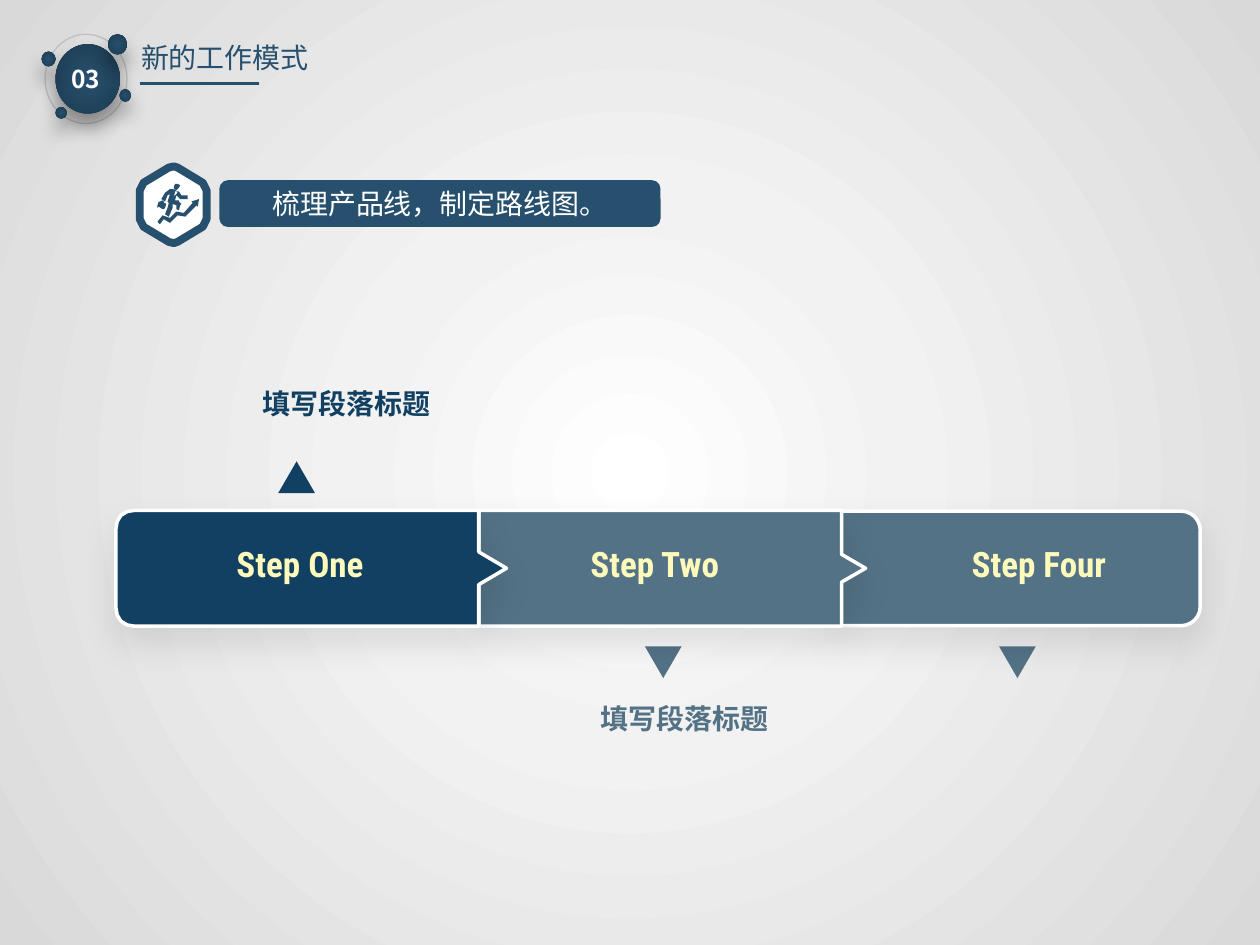
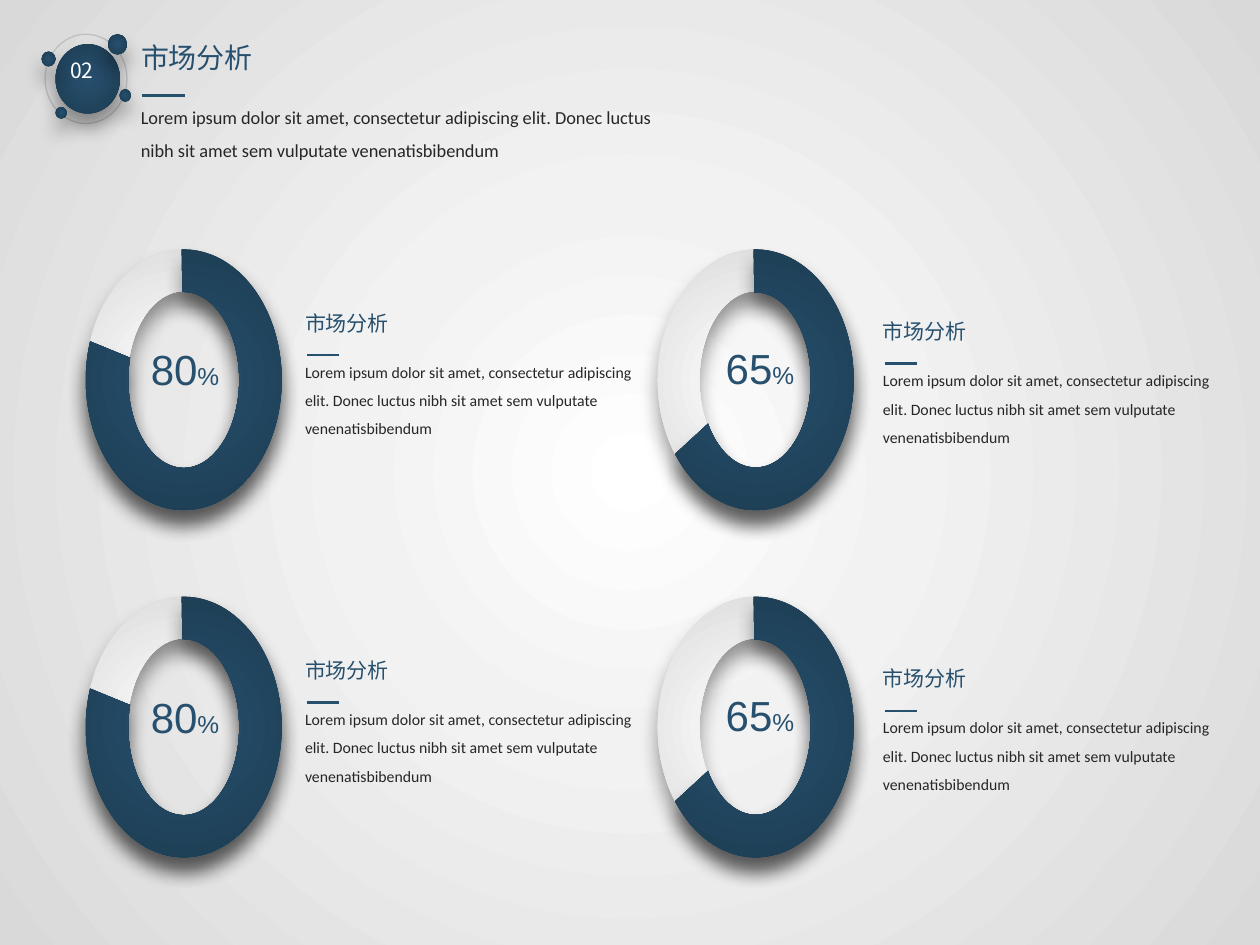
"""Build two slides: a three-step roadmap and a market analysis with four rings."""
from dataclasses import dataclass
from typing import Any, NamedTuple, Optional, Union

from lxml.etree import SubElement
from pptx import Presentation
from pptx.dml.color import RGBColor
from pptx.enum.shapes import MSO_CONNECTOR, MSO_SHAPE as Preset
from pptx.enum.text import MSO_ANCHOR as Anchor, MSO_AUTO_SIZE as AutoSize, PP_ALIGN as Align
from pptx.oxml import parse_xml
from pptx.oxml.ns import nsdecls, qn
from pptx.util import Cm, Pt

COLOURS = {
    "blue": "27506E", "deep": "1D3C52", "navy": "124062", "slate": "537285",
    "white": "FFFFFF", "pale": "F2F2F2", "grey": "D9D9D9", "ring": "BFBFBF",
    "ink": "262626", "cream": "FEFABC", "black": "000000",
}
GRADIENTS = {
    "silver": ((0, "white"), (35, "pale"), (100, "grey")),
    "globe": ((0, "blue"), (100, "deep")),
}
CJK_FONT = "Noto Sans CJK SC"
LATIN_FONT = "Roboto Condensed"
HUNDREDTH = Cm(2.54) / 100
LOREM = ("Lorem ipsum dolor sit amet, consectetur adipiscing elit. "
         "Donec luctus nibh sit amet sem vulputate venenatisbibendum")
ROW_PITCH = 7.0
ARC_START = 269.09
ANGLE_UNIT = 0.6


class Box(NamedTuple):
    left: float
    top: float
    width: float
    height: float

    def lengths(self) -> list:
        return [Cm(value) for value in self]


class Shadow(NamedTuple):
    opacity: int
    blur: int
    distance: int


class TextStyle(NamedTuple):
    colour: str
    font: dict
    paragraph: dict = {}


@dataclass
class Header:
    title: str
    title_width: float
    number: str
    number_box: Box
    number_style: str
    rule: tuple


@dataclass
class Step:
    name: str
    name_left: float
    name_width: float
    colour: str
    half_outline: Optional[list] = None


@dataclass
class Marker:
    left: float
    top: float
    colour: str
    rotation: int


@dataclass
class MarketColumn:
    percent: str
    ring_left: float
    arc_end: float
    arc_thickness: float
    percent_left: float
    percent_top: float
    text_left: float
    text_top: float


GLOBE_SHADOW = Shadow(40, 11, 8)
STEP_SHADOW = Shadow(10, 20, 9)


def font(name: str, size: float, bold: bool = False) -> dict:
    return {"name": name, "size": Pt(size), "bold": bold}


STYLES = {
    "title": TextStyle("blue", font(CJK_FONT, 16), {"alignment": Align.LEFT}),
    "number": TextStyle("white", font(CJK_FONT, 12)),
    "bold number": TextStyle("white", font(CJK_FONT, 14, True)),
    "banner": TextStyle("white", font(CJK_FONT, 16), {"alignment": Align.CENTER}),
    "step": TextStyle("cream", font(LATIN_FONT, 20, True), {"alignment": Align.CENTER}),
    "navy label": TextStyle("navy", font(LATIN_FONT, 16, True)),
    "slate label": TextStyle("slate", font(LATIN_FONT, 16, True)),
    "heading": TextStyle("blue", font(CJK_FONT, 12)),
    "intro": TextStyle("ink", font("Calibri", 10.5), {"line_spacing": 1.5}),
    "body": TextStyle("ink", font("Calibri", 9), {"line_spacing": 1.5}),
    "figure": TextStyle("blue", font("Arial", 24)),
    "percent sign": TextStyle("blue", font("Arial", 14)),
}

BADGE_RING = Box(0.91, 0.69, 1.65, 1.8)
BADGE_DISCS = [
    Box(1.12, 0.89, 1.3, 1.4), Box(2.18, 0.69, 0.38, 0.41), Box(0.84, 1.04, 0.28, 0.3),
    Box(1.12, 2.16, 0.23, 0.23), Box(2.41, 1.8, 0.23, 0.25),
]
HEADERS = [
    Header("新的工作模式", 4.72, "03", Box(1.19, 1.17, 1.12, 0.86), "bold number", (2.82, 1.68, 5.23)),
    Header("市场分析", 2.79, "02", Box(1.17, 1.04, 0.97, 0.76), "number", (2.87, 1.93, 3.73)),
]
STEPS = [
    Step("Step Four", 19.23, 3.43, "slate"),
    Step("Step Two", 11.56, 3.28, "slate", [(380, 405), (668, 405), (668, 440), (687, 451)]),
    Step("Step One", 4.5, 3.1, "navy",
         [(92, 420), (93, 414), (96, 409), (101, 406), (107, 405), (380, 405), (380, 438), (402, 451)]),
]
MARKERS = [
    Marker(13.0, 13.03, "slate", 180), Marker(20.14, 13.03, "slate", 180), Marker(5.61, 9.3, "navy", 0),
]
COLUMNS = [
    MarketColumn("80", 1.73, 202.41, 0.217, 2.79, 6.81, 5.9, 6.99),
    MarketColumn("65", 13.26, 137.45, 0.219, 14.38, 6.78, 17.55, 7.16),
]
HEXAGON = [
    (114, 145), (134, 133), (138, 132), (141, 133), (161, 145), (164, 151), (164, 174),
    (161, 180), (141, 192), (138, 193), (134, 192), (114, 180), (111, 174), (111, 151),
]
CLIMBER = {
    "head": [(140, 151), (142, 149), (143, 147), (141, 146), (139, 146), (138, 148), (138, 150)],
    "body": [
        (133, 155), (135, 154), (133, 160), (134, 161), (133, 165), (131, 170), (134, 172),
        (137, 165), (137, 162), (141, 163), (140, 163), (140, 166), (142, 167), (143, 163),
        (144, 162), (142, 160), (142, 159), (139, 159), (140, 155), (143, 158), (149, 158),
        (149, 155), (144, 155), (142, 152), (140, 152), (141, 153), (140, 154), (138, 156),
        (139, 152), (140, 151), (137, 150), (135, 150), (131, 153), (128, 158), (131, 160),
    ],
    "case": [
        (125, 165), (126, 164), (129, 166), (130, 166), (131, 165), (132, 162), (131, 161),
        (130, 161), (130, 160), (129, 159), (127, 160), (126, 160), (125, 163),
    ],
    "arrow": [
        (158, 158), (152, 160), (153, 161), (146, 169), (140, 168), (135, 173), (129, 171), (125, 176),
        (127, 178), (130, 174), (135, 177), (141, 171), (147, 172), (156, 163), (157, 164),
    ],
}


def colour(name: str) -> RGBColor:
    return RGBColor.from_string(COLOURS[name])


def assign(target: Any, formats: dict) -> None:
    for name, value in formats.items():
        setattr(target, name, value)


def radial_fill(properties: Any, gradient: str) -> None:
    stops = "".join(f'<a:gs pos="{position * 1000}"><a:srgbClr val="{COLOURS[name]}"/></a:gs>'
                    for position, name in GRADIENTS[gradient])
    properties.replace(properties.find(qn("a:solidFill")), parse_xml(
        f'<a:gradFill {nsdecls("a")} rotWithShape="1"><a:gsLst>{stops}</a:gsLst><a:path path="circle">'
        '<a:fillToRect l="50000" t="50000" r="50000" b="50000"/></a:path></a:gradFill>'))


def paint(shape: Any, fill: Optional[str] = None, line: Optional[str] = None,
          width: float = 0, shadow: Optional[Shadow] = None) -> None:
    properties = shape.element.spPr
    if fill is None:
        shape.fill.background()
    else:
        shape.fill.solid()
        if fill in GRADIENTS:
            radial_fill(properties, fill)
        else:
            shape.fill.fore_color.rgb = colour(fill)
    if line is None:
        shape.line.fill.background()
    else:
        shape.line.color.rgb = colour(line)
        shape.line.width = Pt(width)
    shape.shadow.inherit = False
    if shadow:
        properties.find(qn("a:effectLst")).append(parse_xml(
            f'<a:outerShdw {nsdecls("a")} blurRad="{Pt(shadow.blur)}" dist="{Pt(shadow.distance)}" '
            f'dir="5400000" algn="t" rotWithShape="0"><a:srgbClr val="{COLOURS["black"]}">'
            f'<a:alpha val="{shadow.opacity * 1000}"/></a:srgbClr></a:outerShdw>'))


def write(shape: Any, runs: list, frame: dict) -> None:
    assign(shape.text_frame, frame)
    paragraph = shape.text_frame.paragraphs[0]
    for text, style_name in runs:
        style = STYLES[style_name]
        run = paragraph.add_run()
        run.text = text
        assign(paragraph, style.paragraph)
        assign(run.font, style.font)
        run.font.color.rgb = colour(style.colour)
    for properties in shape.element.iter(qn("a:rPr")):
        SubElement(properties, qn("a:ea"), typeface=CJK_FONT)


def add_text(slide: Any, box: Box, *runs: tuple, wrap: bool = False) -> None:
    write(slide.shapes.add_textbox(*box.lengths()), list(runs),
          {"word_wrap": wrap, "auto_size": AutoSize.SHAPE_TO_FIT_TEXT})


def add_preset(shapes: Any, preset: Preset, box: Box, **look: Union[str, float, Shadow]) -> Any:
    shape = shapes.add_shape(preset, *box.lengths())
    paint(shape, **look)
    return shape


def add_outline(shapes: Any, points: list, **look: Union[str, float, Shadow]) -> None:
    builder = shapes.build_freeform(*points[0], scale=HUNDREDTH)
    builder.add_line_segments(points[1:], close=True)
    paint(builder.convert_to_shape(), **look)


def add_rule(slide: Any, left: float, top: float, right: float) -> None:
    rule = slide.shapes.add_connector(MSO_CONNECTOR.STRAIGHT, Cm(left), Cm(top), Cm(right), Cm(top))
    rule.line.color.rgb = colour("blue")
    rule.line.width = Pt(1.5)
    SubElement(rule.element.spPr, qn("a:effectLst"))


def add_header(slide: Any, header: Header) -> None:
    badge = slide.shapes.add_group_shape().shapes
    add_preset(badge, Preset.OVAL, BADGE_RING, line="ring", width=0.75)
    for box in BADGE_DISCS:
        add_preset(badge, Preset.OVAL, box, fill="globe", shadow=GLOBE_SHADOW)
    title = slide.shapes.title
    assign(title, dict(zip(("left", "top", "width", "height"),
                           Box(2.59, 0.69, header.title_width, 0.94).lengths())))
    write(title, [(header.title, "title")], {
        "word_wrap": True, "auto_size": AutoSize.SHAPE_TO_FIT_TEXT, "vertical_anchor": Anchor.TOP})
    add_text(slide, header.number_box, (header.number, header.number_style))
    add_rule(slide, *header.rule)


def add_roadmap(slide: Any) -> None:
    icon = slide.shapes.add_group_shape().shapes
    add_outline(icon, HEXAGON, fill="white", line="blue", width=4.5)
    for points in CLIMBER.values():
        add_outline(icon, points, fill="blue")
    banner = add_preset(slide.shapes, Preset.ROUNDED_RECTANGLE, Box(4.45, 3.66, 8.84, 0.89),
                        fill="blue", line="blue", width=1.5)
    write(banner, [("梳理产品线，制定路线图。", "banner")],
          {"word_wrap": True, "vertical_anchor": Anchor.MIDDLE})
    for marker in MARKERS:
        triangle = add_preset(slide.shapes, Preset.ISOSCELES_TRIANGLE,
                              Box(marker.left, marker.top, 0.74, 0.64), fill=marker.colour)
        triangle.rotation = marker.rotation
    for step in STEPS:
        look = {"fill": step.colour, "line": "white", "width": 2, "shadow": STEP_SHADOW}
        if step.half_outline:
            mirrored = [(x, 902 - y) for x, y in reversed(step.half_outline[:-1])]
            add_outline(slide.shapes, step.half_outline + mirrored, **look)
        else:
            end = add_preset(slide.shapes, Preset.ROUND_2_SAME_RECTANGLE, Box(19.38, 7.8, 2.31, 7.32), **look)
            end.rotation = 90
        add_text(slide, Box(step.name_left, 10.82, step.name_width, 1.12), (step.name, "step"))
    add_text(slide, Box(5.05, 7.67, 3.94, 0.94), ("填写段落标题", "navy label"))
    add_text(slide, Box(11.86, 14.02, 3.94, 0.94), ("填写段落标题", "slate label"))


def add_market_card(slide: Any, column: MarketColumn, offset: float) -> None:
    ring = slide.shapes.add_group_shape().shapes
    box = Box(column.ring_left, 5.03 + offset, 3.95, 5.26)
    donut = add_preset(ring, Preset.DONUT, box, fill="silver", shadow=GLOBE_SHADOW)
    donut.adjustments[0] = 0.213
    arc = add_preset(ring, Preset.BLOCK_ARC, box, fill="globe", shadow=GLOBE_SHADOW)
    for index, value in enumerate((ARC_START * ANGLE_UNIT, column.arc_end * ANGLE_UNIT, column.arc_thickness)):
        arc.adjustments[index] = value
    add_text(slide, Box(column.percent_left, column.percent_top + offset, 1.9, 1.27),
             (column.percent, "figure"), ("%", "percent sign"))
    left, top = column.text_left, column.text_top + offset
    add_text(slide, Box(left, top, 7.54, 1.98), (LOREM, "body"), wrap=True)
    add_text(slide, Box(left, top - 0.86, 4.83, 0.76), ("市场分析", "heading"), wrap=True)
    add_rule(slide, left + 0.29, top + 0.17, left + 0.93)


def add_market(slide: Any) -> None:
    add_text(slide, Box(2.59, 1.8, 11.35, 1.6), (LOREM, "intro"), wrap=True)
    for row in range(2):
        for column in COLUMNS:
            add_market_card(slide, column, row * ROW_PITCH)


def main() -> None:
    presentation = Presentation()
    assign(presentation, {"slide_width": Cm(25.4), "slide_height": Cm(19.05)})
    master = presentation.slide_master
    master.background.fill.solid()
    radial_fill(next(master.element.iter(qn("p:bgPr"))), "silver")
    for header, add_content in zip(HEADERS, (add_roadmap, add_market)):
        slide = presentation.slides.add_slide(presentation.slide_layouts.get_by_name("Title Only"))
        add_header(slide, header)
        add_content(slide)
    presentation.save("out.pptx")


if __name__ == "__main__":
    main()
